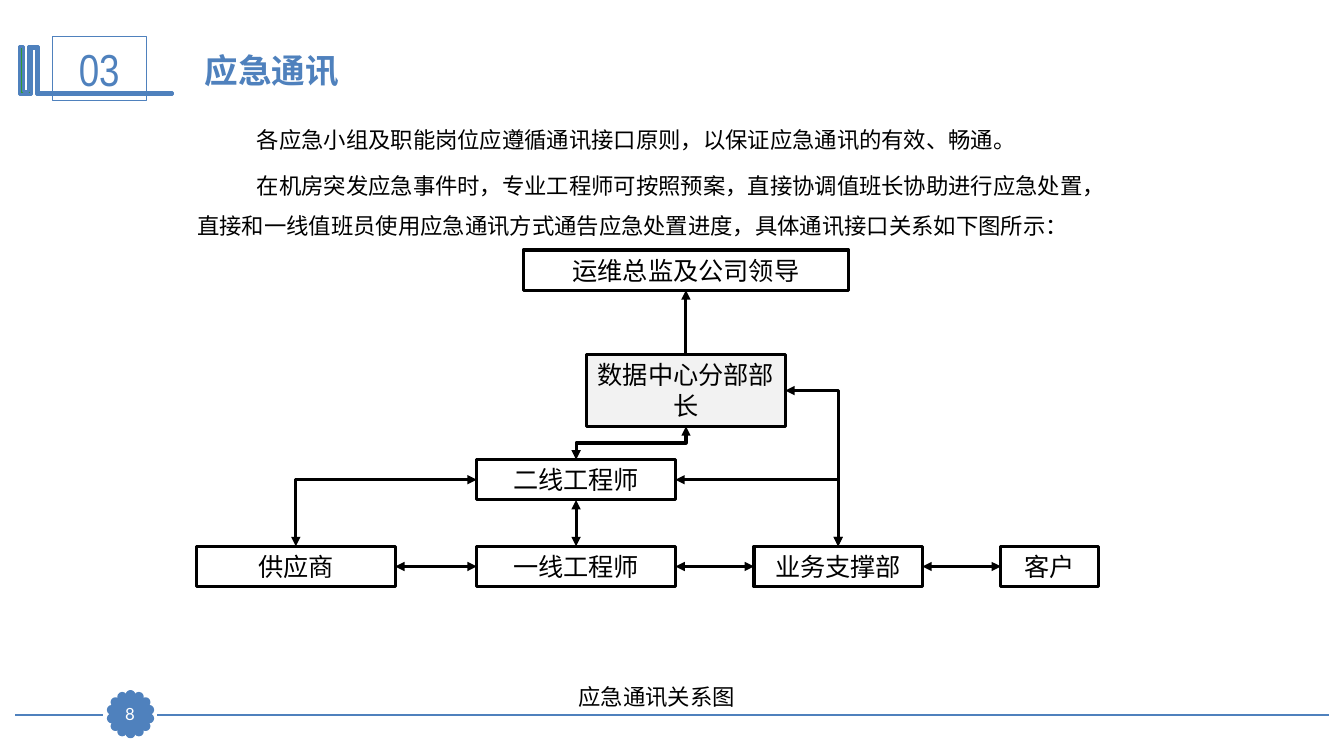
"""Build the emergency communication slide with its contact diagram."""
import dataclasses
import math
import typing

import lxml.etree
import pptx
import pptx.dml.color
import pptx.enum.shapes
import pptx.enum.text
import pptx.oxml.ns
import pptx.util

SHAPES = pptx.enum.shapes.MSO_SHAPE
CONNECTORS = pptx.enum.shapes.MSO_CONNECTOR
ALIGN = pptx.enum.text.PP_ALIGN
ANCHOR = pptx.enum.text.MSO_ANCHOR
TOP, LEFT, BOTTOM, RIGHT = range(4)


@dataclasses.dataclass(frozen=True)
class Theme:
    accent: str = "4F81BD"
    ink: str = "000000"
    paper: str = "FFFFFF"
    shade: str = "F2F2F2"
    ornament: str = "339933"
    face: str = "Lato"
    narrow_face: str = "Arial Narrow"
    body_face: str = "Noto Sans CJK SC"
    number: int = 32
    title: int = 24
    label: int = 18
    body: int = 16
    footer: int = 12
    thin: float = 0.75
    rule: float = 1.25
    bold: float = 2
    diagram: float = 2.25


class Area(typing.NamedTuple):
    column: float
    row: float
    columns: float
    rows: float


class Node(typing.NamedTuple):
    text: str
    area: Area
    fill: str | None = None


class Link(typing.NamedTuple):
    start: str
    start_side: int
    end: str
    end_side: int
    shape: str = "line"
    both_ways: bool = True


THEME = Theme()
CELL = 0.1

TITLE = "应急通讯"
PARAGRAPHS = (
    "各应急小组及职能岗位应遵循通讯接口原则，以保证应急通讯的有效、畅通。",
    "在机房突发应急事件时，专业工程师可按照预案，直接协调值班长协助进行应急处置，"
    "直接和一线值班员使用应急通讯方式通告应急处置进度，具体通讯接口关系如下图所示：",
)
NODES = {
    "director": Node("运维总监及公司领导", Area(51.9, 24.8, 32.3, 4)),
    "manager": Node("数据中心分部部长", Area(58.2, 35.2, 19.7, 7.1), THEME.shade),
    "second": Node("二线工程师", Area(47.3, 45.6, 19.7, 4)),
    "supplier": Node("供应商", Area(19.5, 54.2, 19.7, 4)),
    "first": Node("一线工程师", Area(47.3, 54.2, 19.7, 4)),
    "support": Node("业务支撑部", Area(74.8, 54.2, 16.7, 4)),
    "customer": Node("客户", Area(99.3, 54.2, 9.7, 4)),
}
LINKS = (
    Link("director", BOTTOM, "manager", TOP, both_ways=False),
    Link("manager", BOTTOM, "second", TOP, "bentConnector3"),
    Link("second", BOTTOM, "first", TOP),
    Link("manager", RIGHT, "support", TOP, "bentConnector2"),
    Link("second", RIGHT, "support", TOP, "bentConnector2"),
    Link("second", LEFT, "supplier", TOP, "bentConnector2"),
    Link("supplier", RIGHT, "first", LEFT),
    Link("first", RIGHT, "support", LEFT),
    Link("support", RIGHT, "customer", LEFT),
)
ORNAMENT = (
    (37, 46), (38, 46), (38, 92), (171, 92), (171, 94), (36, 94), (36, 48), (31, 48),
    (31, 94), (19, 94), (19, 46), (23, 46), (23, 91), (28, 91), (28, 46),
)
PETALS = 14
BADGE_CENTRE = (12.95, 70.85)
BADGE_RADIUS = 1.9
PETAL_SIZE = 0.7


def cells(count: float) -> int:
    """Convert grid cells to a length."""
    return pptx.util.Inches(count * CELL)


def place(area: Area) -> tuple[int, ...]:
    """Convert a grid area to left, top, width and height."""
    return tuple(cells(count) for count in area)


def colour(code: str) -> pptx.dml.color.RGBColor:
    """Convert a hex code to a colour."""
    return pptx.dml.color.RGBColor.from_string(code)


def format_text(frame, size: int, ink: str, face: str, align=ALIGN.LEFT, bold: bool = False) -> None:
    """Format every run of a text frame."""
    for para in frame.paragraphs:
        para.alignment = align
        for span in para.runs:
            span.font.size = pptx.util.Pt(size)
            span.font.name = face
            span.font.bold = bold
            span.font.color.rgb = colour(ink)


def paint(shape, fill: str | None, line: str, width: float) -> None:
    """Set fill and outline and drop the shadow."""
    shape.shadow.inherit = False
    if fill:
        shape.fill.solid()
        shape.fill.fore_color.rgb = colour(fill)
    else:
        shape.fill.background()
    shape.line.color.rgb = colour(line)
    shape.line.width = pptx.util.Pt(width)


def add_panel(page, area: Area, fill: str | None, line: str, width: float, kind=SHAPES.RECTANGLE):
    """Add a painted preset shape."""
    shape = page.shapes.add_shape(kind, *place(area))
    paint(shape, fill, line, width)
    return shape


def add_text(page, area: Area, lines: typing.Sequence[str], face: str):
    """Add a text box in body size with wide line spacing."""
    frame = page.shapes.add_textbox(*place(area)).text_frame
    frame.word_wrap = True
    frame.text = "\n".join(lines)
    for para in frame.paragraphs:
        para.line_spacing = 1.5
    format_text(frame, THEME.body, THEME.ink, face)
    return frame


def style_connector(connector, line: str, width: float) -> None:
    """Set a connector's line and drop its shadow."""
    connector.line.color.rgb = colour(line)
    connector.line.width = pptx.util.Pt(width)
    lxml.etree.SubElement(connector.element.spPr, pptx.oxml.ns.qn("a:effectLst"))


def add_link(page, link: Link, boxes: dict) -> None:
    """Join two diagram boxes with an arrow."""
    kind = CONNECTORS.STRAIGHT if link.shape == "line" else CONNECTORS.ELBOW
    connector = page.shapes.add_connector(kind, 0, 0, 0, 0)
    connector.begin_connect(boxes[link.start], link.start_side)
    connector.end_connect(boxes[link.end], link.end_side)
    properties = connector.element.spPr
    properties.find(pptx.oxml.ns.qn("a:prstGeom")).set("prst", link.shape)
    if link.shape == "bentConnector3":
        left, top, width, height = connector.left, connector.top, connector.width, connector.height
        connector.left, connector.top = left + (width - height) // 2, top + (height - width) // 2
        connector.width, connector.height = height, width
        properties.xfrm.attrib.pop("flipH", None)
        properties.xfrm.set("rot", "5400000")
    style_connector(connector, THEME.ink, THEME.diagram)
    outline = properties.find(pptx.oxml.ns.qn("a:ln"))
    for end in ("a:headEnd", "a:tailEnd")[: 1 + link.both_ways]:
        lxml.etree.SubElement(outline, pptx.oxml.ns.qn(end), type="triangle")


def add_header(page) -> None:
    """Draw the section number, its ornament and the title."""
    builder = page.shapes.build_freeform(*ORNAMENT[0], scale=cells(1) / 10)
    builder.add_line_segments(ORNAMENT[1:], close=True)
    paint(builder.convert_to_shape(), THEME.ornament, THEME.accent, THEME.bold)
    number = add_panel(page, Area(5.2, 3.6, 9.3, 6.4), None, THEME.accent, THEME.thin)
    number.text_frame.text = "03"
    format_text(number.text_frame, THEME.number, THEME.accent, THEME.narrow_face, ALIGN.CENTER)
    title = page.shapes.title
    title.left, title.top, title.width, title.height = place(Area(18.6, 4.4, 96.9, 5.1))
    frame = title.text_frame
    frame.text = TITLE
    frame.auto_size = pptx.enum.text.MSO_AUTO_SIZE.NONE
    frame.vertical_anchor = ANCHOR.TOP
    frame.margin_left = cells(1.7)
    format_text(frame, THEME.title, THEME.accent, THEME.face, bold=True)


def add_footer(page) -> None:
    """Draw the footer rule and the page number badge."""
    for start, end in ((1.5, 10.2), (15.6, 131.8)):
        rule = page.shapes.add_connector(
            CONNECTORS.STRAIGHT, cells(start), cells(70.9), cells(end), cells(70.9))
        style_connector(rule, THEME.accent, THEME.rule)
    for petal in range(PETALS):
        angle = math.tau * petal / PETALS
        column = BADGE_CENTRE[0] + BADGE_RADIUS * math.sin(angle) - PETAL_SIZE / 2
        row = BADGE_CENTRE[1] - BADGE_RADIUS * math.cos(angle) - PETAL_SIZE / 2
        add_panel(page, Area(column, row, PETAL_SIZE, PETAL_SIZE),
                  THEME.accent, THEME.accent, THEME.bold, SHAPES.OVAL)
    badge = add_panel(page, Area(11.3, 69.3, 3.2, 3.1), THEME.accent, THEME.accent, THEME.thin)
    frame = badge.text_frame
    frame.margin_left = frame.margin_top = frame.margin_right = frame.margin_bottom = 0
    frame.text = "8"
    format_text(frame, THEME.footer, THEME.paper, THEME.face, ALIGN.CENTER)


def add_body(page) -> None:
    """Add the introduction and the diagram caption."""
    frame = add_text(page, Area(18.6, 10.7, 93.7, 13.7), PARAGRAPHS, THEME.body_face)
    for index, para in enumerate(frame.paragraphs):
        para.space_before = pptx.util.Pt(2 if index else 0)
        para.space_after = pptx.util.Pt(2)
        para._p.get_or_add_pPr().set("indent", str(cells(5.9)))
    add_text(page, Area(56.4, 65.9, 18.1, 5.1), ["应急通讯关系图"], THEME.face)


def add_diagram(page) -> None:
    """Draw the boxes and the arrows between them."""
    boxes = {}
    for name, node in NODES.items():
        boxes[name] = add_panel(page, node.area, node.fill, THEME.ink, THEME.diagram)
        frame = boxes[name].text_frame
        frame.word_wrap = True
        frame.vertical_anchor = ANCHOR.TOP
        frame.text = node.text
        format_text(frame, THEME.label, THEME.ink, THEME.face, ALIGN.CENTER)
    for link in LINKS:
        add_link(page, link, boxes)


def main() -> None:
    """Build and save the deck."""
    deck = pptx.Presentation()
    deck.slide_width, deck.slide_height = cells(133.33), cells(75)
    page = deck.slides.add_slide(deck.slide_layouts[5])
    add_footer(page)
    add_header(page)
    add_body(page)
    add_diagram(page)
    deck.save("out.pptx")


if __name__ == "__main__":
    main()
